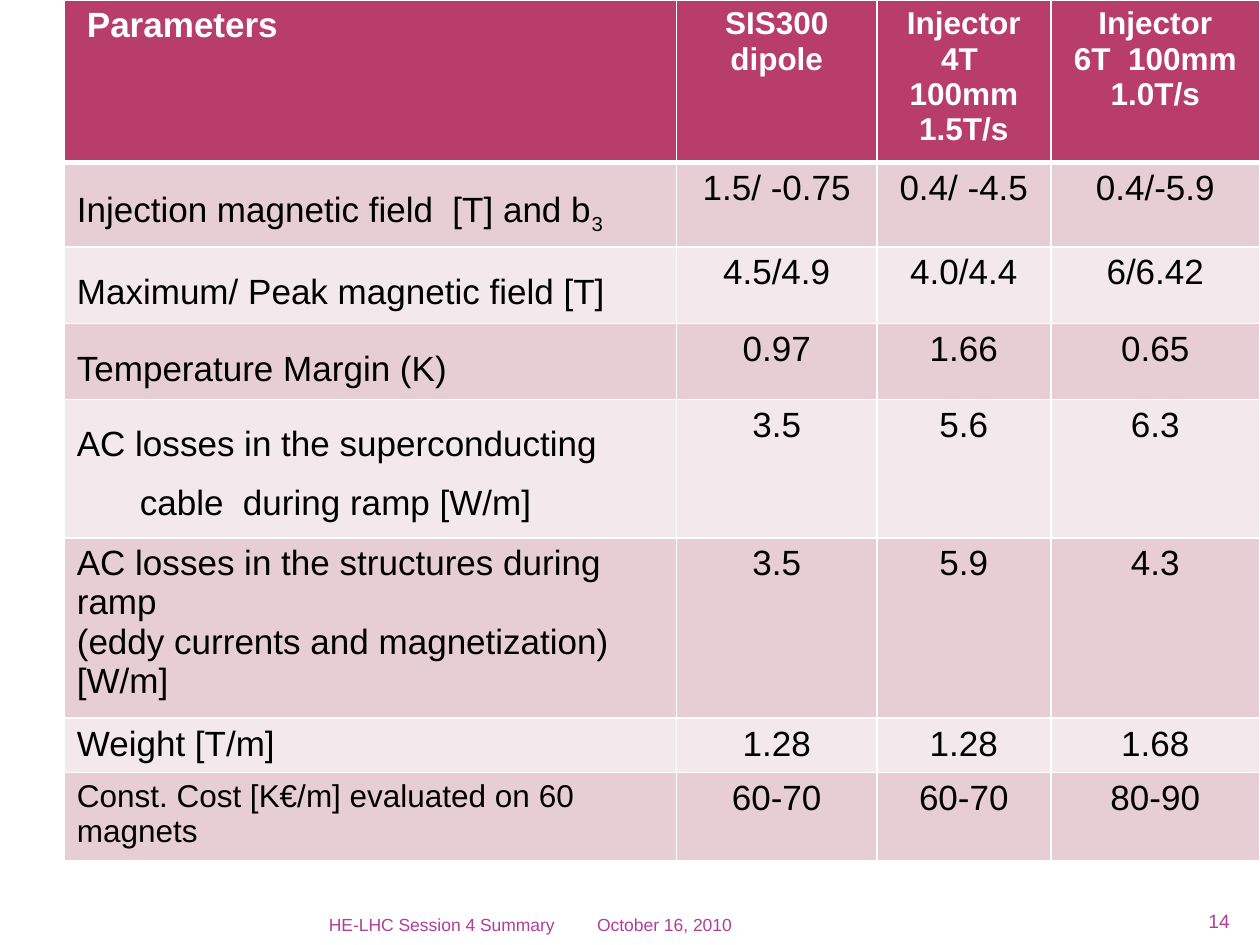
from lxml import etree
from pptx import Presentation
from pptx.dml.color import RGBColor
from pptx.enum.text import MSO_ANCHOR, PP_ALIGN
from pptx.oxml.ns import qn
from pptx.util import Inches, Pt

LEFT, CENTER, RIGHT = PP_ALIGN.LEFT, PP_ALIGN.CENTER, PP_ALIGN.RIGHT
BOTTOM = MSO_ANCHOR.BOTTOM

COLS = [4.86, 1.59, 1.38, 1.66]
HEIGHTS = [1.29, 0.67, 0.61, 0.6, 1.1, 1.43, 0.43, 0.7]
HEADER = ["Parameters", "SIS300 dipole", "Injector\n4T  100mm 1.5T/s", "Injector\n6T  100mm 1.0T/s"]
ROWS = [
    ["Injection magnetic field  [T] and b", "1.5/ -0.75", "0.4/ -4.5", "0.4/-5.9"],
    ["Maximum/ Peak magnetic field [T]", "4.5/4.9", "4.0/4.4", "6/6.42"],
    ["Temperature Margin (K)", "0.97", "1.66", "0.65"],
    ["AC losses in the superconducting cable  during ramp [W/m]", "3.5", "5.6", "6.3"],
    ["AC losses in the structures during ramp\n(eddy currents and magnetization) [W/m]", "3.5", "5.9", "4.3"],
    ["Weight [T/m]", "1.28", "1.28", "1.68"],
    ["Const. Cost [K€/m] evaluated on 60 magnets", "60-70", "60-70", "80-90"],
]
HANGING_ROWS = range(1, 5)
COST_ROW = len(ROWS)


def rgb(value):
    return RGBColor.from_string(value)


class SlideBuilder:
    font = "Arial"
    header_fill = "B83D68"
    bands = ["F3E8EB", "E6CED4"]
    white = "FFFFFF"
    black = "000000"
    accent = "B13F9A"

    def __init__(self, s):
        self.s = s

    def run(self, p, text, size, color, bold=False):
        r = p.add_run()
        r.text = text
        r.font.name = self.font
        r.font.size = Pt(size)
        r.font.bold = bold
        r.font.color.rgb = rgb(color)
        return r

    def text(self, text, x, y, w, size, align=LEFT, inset=0.1):
        tf = self.s.shapes.add_textbox(Inches(x), Inches(y), Inches(w), Inches(0.25)).text_frame
        tf.word_wrap = True
        tf.vertical_anchor = BOTTOM
        tf.margin_left = tf.margin_right = Inches(inset)
        tf.margin_top = tf.margin_bottom = 0
        p = tf.paragraphs[0]
        p.alignment = align
        self.run(p, text, size, self.accent)

    def borders(self, cell, top, bottom):
        tcPr = cell._tc.get_or_add_tcPr()
        for i, (side, width) in enumerate([("L", 1), ("R", 1), ("T", top), ("B", bottom)]):
            ln = etree.Element(qn(f"a:ln{side}"), w=str(Pt(width)))
            fill = etree.SubElement(ln, qn("a:solidFill"))
            etree.SubElement(fill, qn("a:srgbClr"), val=self.white)
            tcPr.insert(i, ln)

    def indent(self, p, left, first=0):
        pPr = p._p.get_or_add_pPr()
        pPr.set("marL", str(Inches(left)))
        pPr.set("indent", str(Inches(first)))

    def cell(self, cell, text, row, col):
        header = row == 0
        cell.fill.solid()
        cell.fill.fore_color.rgb = rgb(self.header_fill if header else self.bands[row % 2])
        self.borders(cell, 3 if row == 1 else 1, 3 if header else 1)
        small = (header and col > 0) or (row == COST_ROW and col == 0)
        tf = cell.text_frame
        for i, line in enumerate(text.split("\n")):
            p = tf.paragraphs[0] if i == 0 else tf.add_paragraph()
            p.alignment = CENTER if col else LEFT
            if col == 0 and header:
                self.indent(p, 0.08)
            if col == 0 and row in HANGING_ROWS:
                self.indent(p, 0.5, -0.5)
                p.line_spacing = 1.5
            self.run(p, line, 18 if small else 20, self.white if header else self.black, header)
        return tf

    def table(self, rows, x, y, cols, heights):
        frame = self.s.shapes.add_table(
            len(rows), len(cols), Inches(x), Inches(y), Inches(sum(cols)), Inches(sum(heights)))
        table = frame.table
        for column, width in zip(table.columns, cols):
            column.width = Inches(width)
        for i, (values, height) in enumerate(zip(rows, heights)):
            table.rows[i].height = Inches(height)
            for j, value in enumerate(values):
                self.cell(table.cell(i, j), value, i, j)
        return table


def main():
    prs = Presentation()
    prs.slide_width, prs.slide_height = Inches(10), Inches(7.5)
    b = SlideBuilder(prs.slides.add_slide(prs.slide_layouts[6]))
    table = b.table([HEADER] + ROWS, 0.51, 0, COLS, HEIGHTS)
    p = table.cell(1, 0).text_frame.paragraphs[0]
    subscript = b.run(p, "3", 20, b.black)
    subscript.font._element.set("baseline", "-25000")
    b.text("October 16, 2010", 4.64, 7.17, 2.19, 10)
    b.text("14", 9.12, 7.15, 0.64, 11, RIGHT, 0)
    b.text("HE-LHC Session 4 Summary", 0.5, 7.17, 4, 10, RIGHT)
    prs.save("out.pptx")


if __name__ == "__main__":
    main()
